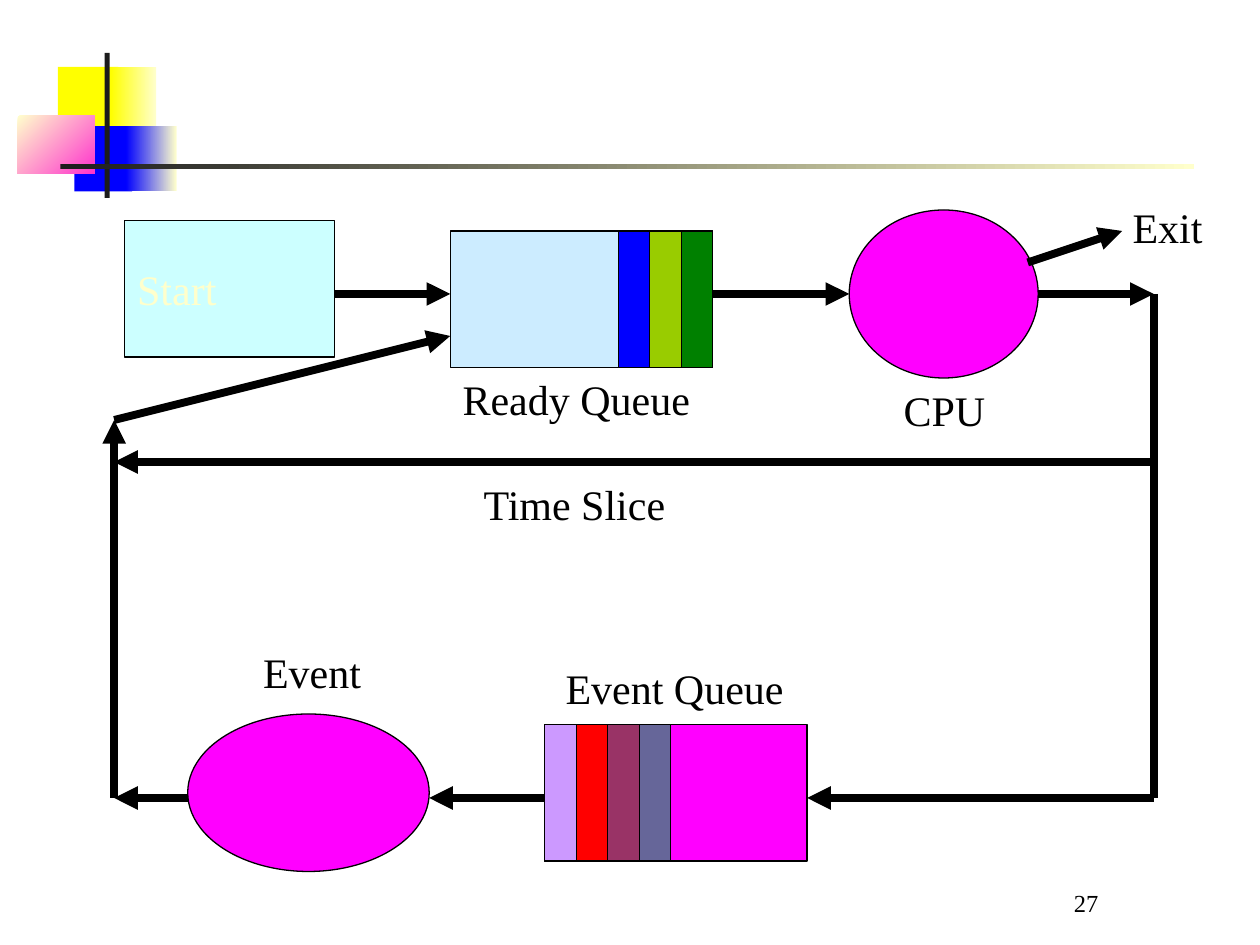
from typing import NamedTuple, Optional

from lxml import etree
from pptx import Presentation
from pptx import util as u
from pptx.dml.color import RGBColor
from pptx.enum import shapes, text
from pptx.oxml.ns import qn

FONT = "Times New Roman"
BLACK = RGBColor(0, 0, 0)
INK = RGBColor(0x1C, 0x1C, 0x1C)
CREAM = RGBColor(0xFF, 0xFF, 0xCC)
YELLOW = RGBColor(0xFF, 0xFF, 0)
BLUE = RGBColor(0, 0, 0xFF)
PINK = RGBColor(0xFF, 0x33, 0xCC)
MAGENTA = RGBColor(0xFF, 0, 0xFF)
CYAN = RGBColor(0xCC, 0xFF, 0xFF)
SKY = RGBColor(0xCC, 0xEC, 0xFF)
LILAC = RGBColor(0xCC, 0x99, 0xFF)
RED = RGBColor(0xFF, 0, 0)
PLUM = RGBColor(0x99, 0x33, 0x66)
SLATE = RGBColor(0x66, 0x66, 0x99)
LIME = RGBColor(0x99, 0xCC, 0)
GREEN = RGBColor(0, 0x80, 0)

RECT = shapes.MSO_SHAPE.RECTANGLE
OVAL = shapes.MSO_SHAPE.OVAL
CELLS = 12  # grid cells per inch
SHIFT = -0.01  # inches from slide edge to column 0
JOB = 3  # columns taken by one queued job


class Deco(NamedTuple):
    """Ornament part, in inches; a second colour makes a gradient."""
    x: float
    y: float
    w: float
    h: float
    start: RGBColor
    end: Optional[RGBColor] = None
    angle: int = 0


class Node(NamedTuple):
    kind: int
    col: float
    row: float
    cols: float
    rows: float
    fill: RGBColor


class Link(NamedTuple):
    col1: float
    row1: float
    col2: float
    row2: float
    arrow: bool = True


class Label(NamedTuple):
    words: str
    col: float
    row: float
    cols: float


DECOS = [
    Deco(0.46, 0.53, 0.48, 0.52, YELLOW),
    Deco(0.88, 0.53, 0.36, 0.52, YELLOW, CREAM),
    Deco(0.59, 1, 0.46, 0.52, BLUE),
    Deco(1, 1, 0.4, 0.52, BLUE, CREAM),
    Deco(0.14, 0.92, 0.61, 0.46, CREAM, PINK, 315),
    Deco(0.83, 0.42, 0.04, 1.15, INK),
    Deco(0.48, 1.3, 9, 0.04, INK, CREAM),
]
START = Node(RECT, 12, 21, 20, 13, CYAN)
READY = Node(RECT, 43, 22, 25, 13, SKY)
CPU = Node(OVAL, 81, 20, 18, 16, MAGENTA)
QUEUE = Node(RECT, 52, 69, 25, 13, MAGENTA)
EVENT = Node(OVAL, 18, 68, 23, 15, MAGENTA)
LEFT, RIGHT, TOP, BOTTOM = 11, 110, 28, 76

LINKS = [
    Link(START.col + START.cols, TOP, READY.col, TOP),
    Link(READY.col + READY.cols, TOP, CPU.col, TOP),
    Link(CPU.col + CPU.cols, TOP, RIGHT, TOP),
    Link(RIGHT, TOP, RIGHT, BOTTOM, False),
    Link(RIGHT, BOTTOM, QUEUE.col + QUEUE.cols, BOTTOM),
    Link(QUEUE.col, BOTTOM, EVENT.col + EVENT.cols, BOTTOM),
    Link(EVENT.col, BOTTOM, LEFT, BOTTOM),
    Link(LEFT, BOTTOM, LEFT, 40),
    Link(LEFT, 40, READY.col, 32),
    Link(98, 25, 107, 22),
    Link(RIGHT, 44, LEFT, 44),
]
LABELS = [
    Label("Ready Queue", 43, 35, 24.1),
    Label("Event Queue", 52.8, 62.5, 23.2),
    Label("Event", 24, 61, 11.8),
    Label("Exit", 106.8, 18.6, 9.1),
    Label("Time Slice", 45, 45, 19.8),
    Label("CPU", 85, 36, 10.2),
]


def across(col: float) -> int:
    return u.Inches(col / CELLS + SHIFT)


def span(cells: float) -> int:
    return u.Inches(cells / CELLS)


def write(frame, words: str, size: int, color: RGBColor, align) -> None:
    para = frame.paragraphs[0]
    para.text = words
    para.alignment = align
    para.font.name = FONT
    para.font.size = u.Pt(size)
    para.font.color.rgb = color


def draw_deco(slide, deco: Deco) -> None:
    shape = slide.shapes.add_shape(RECT, *map(u.Inches, deco[:4]))
    shape.shadow.inherit = False
    shape.line.fill.background()
    if deco.end is None:
        shape.fill.solid()
        shape.fill.fore_color.rgb = deco.start
        return
    shape.fill.gradient()
    shape.fill.gradient_angle = deco.angle
    for stop, color in zip(shape.fill.gradient_stops, (deco.start, deco.end)):
        stop.color.rgb = color


def draw_node(slide, node: Node):
    shape = slide.shapes.add_shape(
        node.kind, across(node.col), span(node.row),
        span(node.cols), span(node.rows))
    shape.shadow.inherit = False
    shape.fill.solid()
    shape.fill.fore_color.rgb = node.fill
    shape.line.color.rgb = BLACK
    shape.line.width = u.Pt(0.75)
    return shape


def draw_jobs(slide, queue: Node, col: float, fills: list) -> None:
    """Fill a queue with equal jobs from the given column on."""
    for i, fill in enumerate(fills):
        draw_node(slide, queue._replace(col=col + i * JOB, cols=JOB, fill=fill))


def draw_link(slide, link: Link) -> None:
    line = slide.shapes.add_connector(
        shapes.MSO_CONNECTOR.STRAIGHT, across(link.col1), span(link.row1),
        across(link.col2), span(link.row2))
    line.line.color.rgb = BLACK
    line.line.width = u.Pt(4.5)
    if link.arrow:
        etree.SubElement(line.line._get_or_add_ln(), qn("a:tailEnd"),
                         type="triangle")
    etree.SubElement(line._element.spPr, qn("a:effectLst"))


def draw_label(slide, label: Label) -> None:
    box = slide.shapes.add_textbox(
        across(label.col), span(label.row), span(label.cols), span(6))
    box.text_frame.word_wrap = False
    box.text_frame.auto_size = text.MSO_AUTO_SIZE.SHAPE_TO_FIT_TEXT
    write(box.text_frame, label.words, 24, BLACK, text.PP_ALIGN.LEFT)


def main() -> None:
    deck = Presentation()
    deck.slide_width, deck.slide_height = u.Inches(10), u.Inches(7.5)
    slide = deck.slides.add_slide(deck.slide_layouts[6])
    for deco in DECOS:
        draw_deco(slide, deco)

    number = slide.shapes.add_textbox(
        *map(u.Inches, (7.58, 6.83, 2.08, 0.5))).text_frame
    number.word_wrap = True
    number.vertical_anchor = text.MSO_ANCHOR.BOTTOM
    write(number, "27", 14, BLACK, text.PP_ALIGN.CENTER)

    start = draw_node(slide, START)
    write(start.text_frame, "Start", 24, CREAM, text.PP_ALIGN.LEFT)
    for node in (READY, CPU, QUEUE, EVENT):
        draw_node(slide, node)
    for link in LINKS:
        draw_link(slide, link)
    draw_jobs(slide, QUEUE, QUEUE.col, [LILAC, RED, PLUM, SLATE])
    draw_jobs(slide, READY, READY.col + READY.cols - 3 * JOB,
              [BLUE, LIME, GREEN])
    for label in LABELS:
        draw_label(slide, label)
    deck.save("out.pptx")


if __name__ == "__main__":
    main()
